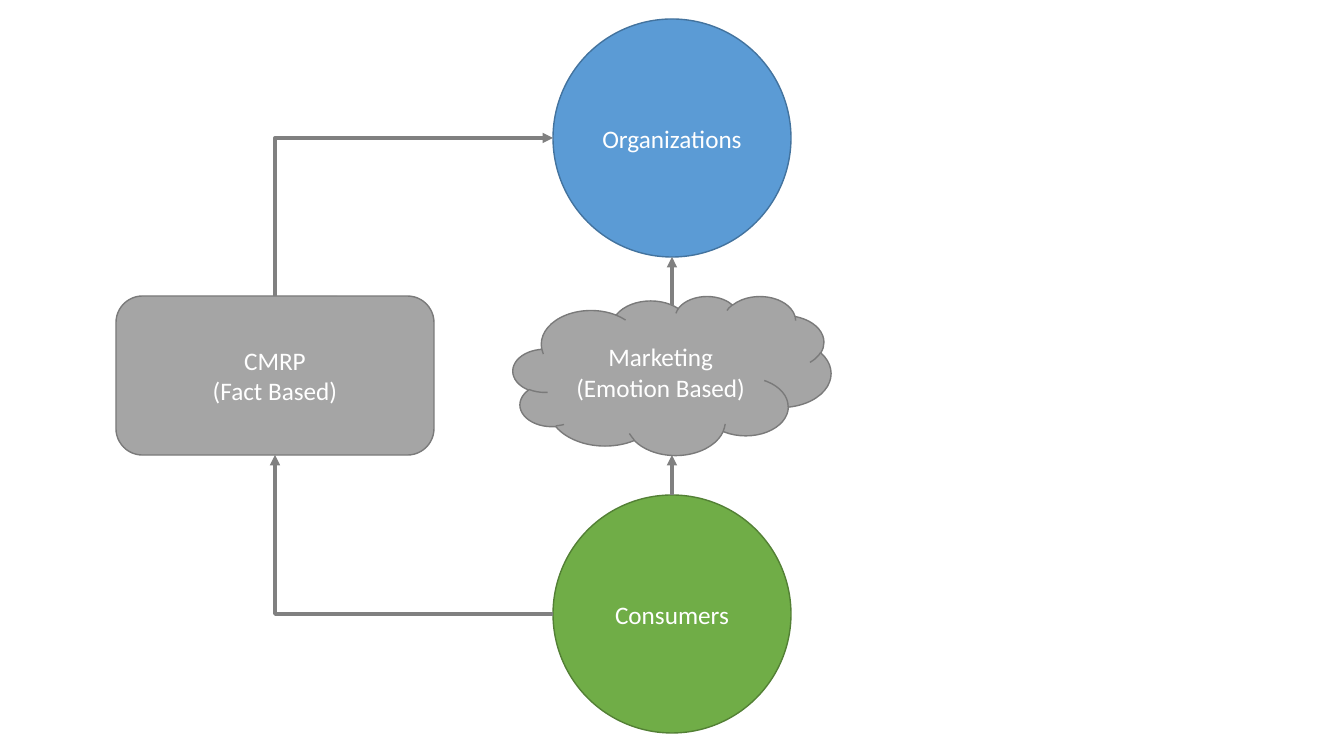
from dataclasses import dataclass

from lxml.etree import SubElement
from pptx import Presentation
from pptx.dml.color import RGBColor
from pptx.enum.shapes import MSO_CONNECTOR, MSO_SHAPE
from pptx.enum.text import MSO_ANCHOR, PP_ALIGN
from pptx.oxml.ns import qn
from pptx.shapes.connector import Connector
from pptx.slide import Slide
from pptx.util import Emu, Pt

PX_PER_INCH = 100.8
COLORS = {
    "blue": "5B9BD5", "blue_edge": "43739E",
    "green": "70AD47", "green_edge": "538035",
    "gray": "A5A5A5", "gray_edge": "7A7A7A",
    "arrow": "808080", "text": "FFFFFF",
}


@dataclass
class Node:
    kind: MSO_SHAPE
    left: int
    top: int
    width: int
    height: int
    color: str
    lines: list[str]

    @property
    def right(self) -> int:
        return self.left + self.width

    @property
    def bottom(self) -> int:
        return self.top + self.height

    @property
    def center_x(self) -> int:
        return self.left + self.width // 2

    @property
    def center_y(self) -> int:
        return self.top + self.height // 2


@dataclass
class Arrow:
    start: tuple[int, int]
    end: tuple[int, int]
    bent: bool = False
    upward_first: bool = False


def px(value: float) -> Emu:
    return Emu(round(value * 914400 / PX_PER_INCH))


def rgb(name: str) -> RGBColor:
    return RGBColor.from_string(COLORS[name])


def add_node(slide: Slide, node: Node) -> None:
    sp = slide.shapes.add_shape(
        node.kind, px(node.left), px(node.top), px(node.width), px(node.height))
    sp.shadow.inherit = False
    sp.fill.solid()
    sp.fill.fore_color.rgb = rgb(node.color)
    sp.line.color.rgb = rgb(f"{node.color}_edge")
    sp.line.width = Pt(1)
    tf = sp.text_frame
    tf.word_wrap = True
    tf.vertical_anchor = MSO_ANCHOR.MIDDLE
    tf.text = "\n".join(node.lines)
    for p in tf.paragraphs:
        p.alignment = PP_ALIGN.CENTER
        p.font.name = "Calibri"
        p.font.size = Pt(18)
        p.font.color.rgb = rgb("text")


def add_arrow(slide: Slide, arrow: Arrow) -> Connector:
    (x1, y1), (x2, y2) = arrow.start, arrow.end
    if arrow.upward_first:
        # The box is laid out a quarter turn back, then rotated into place.
        cx, cy = (x1 + x2) / 2, (y1 + y2) / 2
        dx, dy = (x2 - x1) / 2, (y2 - y1) / 2
        x1, y1, x2, y2 = cx - dy, cy + dx, cx + dy, cy - dx
    kind = MSO_CONNECTOR.ELBOW if arrow.bent else MSO_CONNECTOR.STRAIGHT
    cxn = slide.shapes.add_connector(kind, px(x1), px(y1), px(x2), px(y2))
    cxn.line.color.rgb = rgb("arrow")
    cxn.line.width = Pt(2.5)
    sp_pr = cxn.element.spPr
    if arrow.bent:
        sp_pr.find(qn("a:prstGeom")).set("prst", "bentConnector2")
    if arrow.upward_first:
        sp_pr.find(qn("a:xfrm")).set("rot", str(90 * 60000))
    SubElement(sp_pr.find(qn("a:ln")), qn("a:tailEnd"), type="triangle")
    SubElement(sp_pr, qn("a:effectLst"))
    return cxn


def main() -> None:
    prs = Presentation()
    prs.slide_width, prs.slide_height = px(1344), px(756)
    slide = prs.slides.add_slide(prs.slide_layouts[6])

    organizations = Node(MSO_SHAPE.OVAL, 553, 19, 238, 238, "blue", ["Organizations"])
    consumers = Node(MSO_SHAPE.OVAL, 553, 495, 238, 238, "green", ["Consumers"])
    marketing = Node(MSO_SHAPE.CLOUD, 513, 296, 318, 159, "gray",
                     ["Marketing", "(Emotion Based)"])
    cmrp = Node(MSO_SHAPE.ROUNDED_RECTANGLE, 116, 296, 318, 159, "gray",
                ["CMRP", "(Fact Based)"])
    for node in (organizations, consumers, marketing, cmrp):
        add_node(slide, node)

    cloud_edge = marketing.top + 9
    arrows = [
        Arrow((consumers.center_x, consumers.top),
              (marketing.center_x, marketing.bottom)),
        Arrow((marketing.center_x, cloud_edge),
              (organizations.center_x, organizations.bottom)),
        Arrow((consumers.left, consumers.center_y),
              (cmrp.center_x, cmrp.bottom), bent=True),
        Arrow((cmrp.center_x, cmrp.top),
              (organizations.left, organizations.center_y),
              bent=True, upward_first=True),
    ]
    for arrow in arrows:
        add_arrow(slide, arrow)

    prs.save("out.pptx")


if __name__ == "__main__":
    main()
